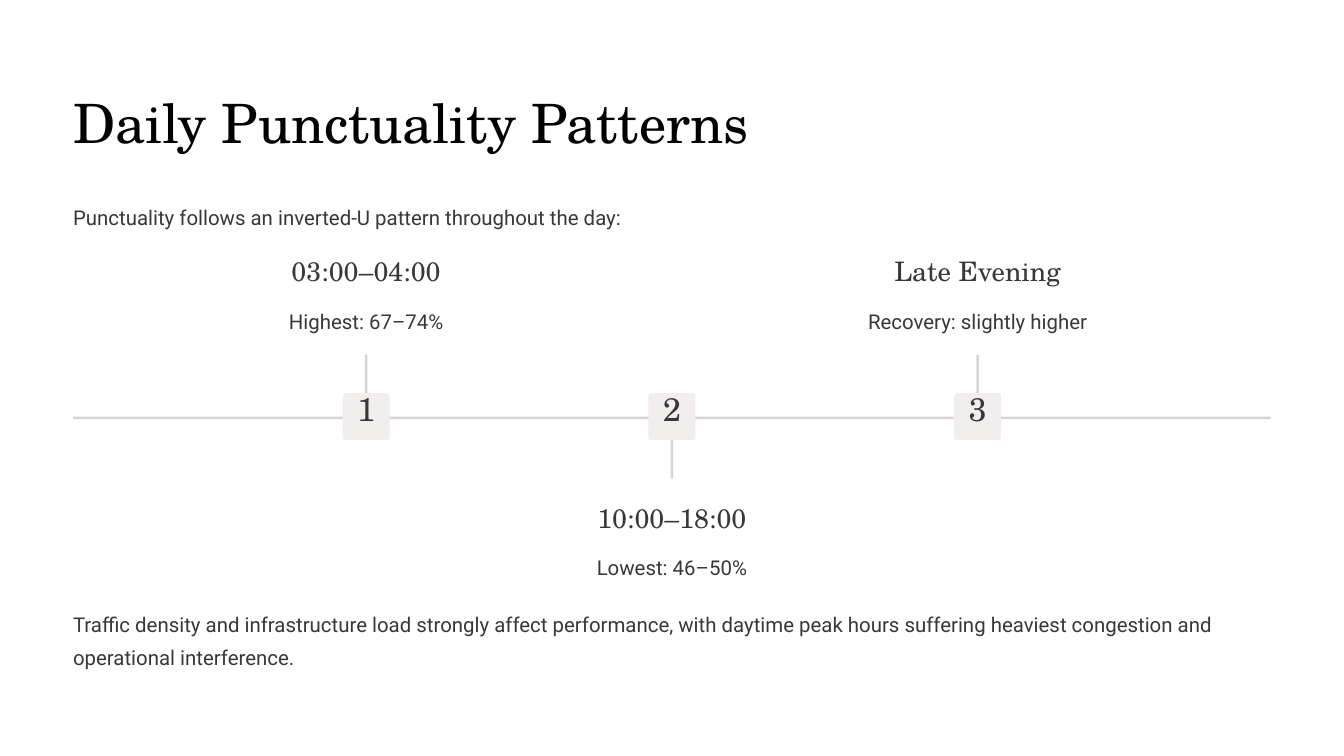
import pptx
import pptx.dml.color
import pptx.enum.shapes
import pptx.enum.text
import pptx.util

TITLE = "Daily Punctuality Patterns"
INTRO = "Punctuality follows an inverted-U pattern throughout the day:"
PERIODS = [
    ("03:00–04:00", "Highest: 67–74%"),
    ("10:00–18:00", "Lowest: 46–50%"),
    ("Late Evening", "Recovery: slightly higher"),
]
CONCLUSION = (
    "Traffic density and infrastructure load strongly affect performance, "
    "with daytime peak hours suffering heaviest congestion and operational interference."
)

COLORS = {"background": "FFFFFF", "title": "020202", "text": "383838",
          "line": "D8D4D4", "badge": "F2EEEE"}
SERIF, SANS = "TeX Gyre Schola", "Roboto"
BODY = {"size": 17.5, "spacing": 28.5, "font": SANS}
HEADING = {"size": 23, "spacing": 29, "font": SERIF}
NUMBER = {"size": 28, "spacing": 28, "font": SERIF}

Inches = pptx.util.Inches
ALIGN = pptx.enum.text.PP_ALIGN
SLIDE_WIDTH, SLIDE_HEIGHT = 16, 9
MARGIN = 0.87
CONTENT_WIDTH = SLIDE_WIDTH - 2 * MARGIN
AXIS_TOP, LINE_WIDTH = 4.96, 0.03
STEM_LENGTH = 0.74
BADGE_SIZE, BADGE_TOP = 0.56, 4.68
PERIOD_STEP = 3.64
HEADING_WIDTH, DETAIL_WIDTH, DETAIL_OFFSET = 3.26, 6.48, 0.56
HEADING_TOP_ABOVE, HEADING_TOP_BELOW = 3.01, 5.95


def rgb(name):
    return pptx.dml.color.RGBColor.from_string(COLORS[name])


def add_text(slide, text, left, top, width, height, *, size, spacing, font,
             color="text", align=ALIGN.LEFT):
    box = slide.shapes.add_textbox(Inches(left), Inches(top), Inches(width), Inches(height))
    frame = box.text_frame
    frame.word_wrap = True
    frame.margin_left = frame.margin_right = frame.margin_top = frame.margin_bottom = 0
    paragraph = frame.paragraphs[0]
    paragraph.alignment = align
    paragraph.line_spacing = pptx.util.Pt(spacing)
    run = paragraph.add_run()
    run.text = text
    run.font.size = pptx.util.Pt(size)
    run.font.name = font
    run.font.color.rgb = rgb(color)


def add_bar(slide, left, top, width, height, color, rounding=0.5):
    shape = slide.shapes.add_shape(
        pptx.enum.shapes.MSO_SHAPE.ROUNDED_RECTANGLE,
        Inches(left), Inches(top), Inches(width), Inches(height))
    shape.adjustments[0] = rounding
    shape.shadow.inherit = False
    shape.fill.solid()
    shape.fill.fore_color.rgb = rgb(color)
    shape.line.fill.background()


def add_period(slide, index, heading, detail):
    """Place one numbered period; odd positions sit above the axis, even ones below."""
    center = SLIDE_WIDTH / 2 + (index - (len(PERIODS) - 1) / 2) * PERIOD_STEP
    above = index % 2 == 0
    stem_top = AXIS_TOP - STEM_LENGTH if above else AXIS_TOP
    heading_top = HEADING_TOP_ABOVE if above else HEADING_TOP_BELOW

    add_bar(slide, center - LINE_WIDTH / 2, stem_top, LINE_WIDTH, STEM_LENGTH, "line")
    add_bar(slide, center - BADGE_SIZE / 2, BADGE_TOP, BADGE_SIZE, BADGE_SIZE, "badge", 0.07)
    labels = [
        (str(index + 1), BADGE_TOP + 0.03, 0.39, 0.49, NUMBER),
        (heading, heading_top, HEADING_WIDTH, 0.41, HEADING),
        (detail, heading_top + DETAIL_OFFSET, DETAIL_WIDTH, 0.4, BODY),
    ]
    for text, top, width, height, style in labels:
        add_text(slide, text, center - width / 2, top, width, height,
                 align=ALIGN.CENTER, **style)


def main():
    presentation = pptx.Presentation()
    presentation.slide_width = Inches(SLIDE_WIDTH)
    presentation.slide_height = Inches(SLIDE_HEIGHT)
    slide = presentation.slides.add_slide(presentation.slide_layouts[6])
    slide.background.fill.solid()
    slide.background.fill.fore_color.rgb = rgb("background")

    add_text(slide, TITLE, MARGIN, 1.03, CONTENT_WIDTH, 0.81,
             size=46.5, spacing=58.5, font=SERIF, color="title")
    add_text(slide, INTRO, MARGIN, 2.34, CONTENT_WIDTH, 0.4, **BODY)
    add_bar(slide, MARGIN, AXIS_TOP, CONTENT_WIDTH, LINE_WIDTH, "line")
    for index, (heading, detail) in enumerate(PERIODS):
        add_period(slide, index, heading, detail)
    add_text(slide, CONCLUSION, MARGIN, 7.18, CONTENT_WIDTH, 0.79, **BODY)

    presentation.save("out.pptx")


if __name__ == "__main__":
    main()
